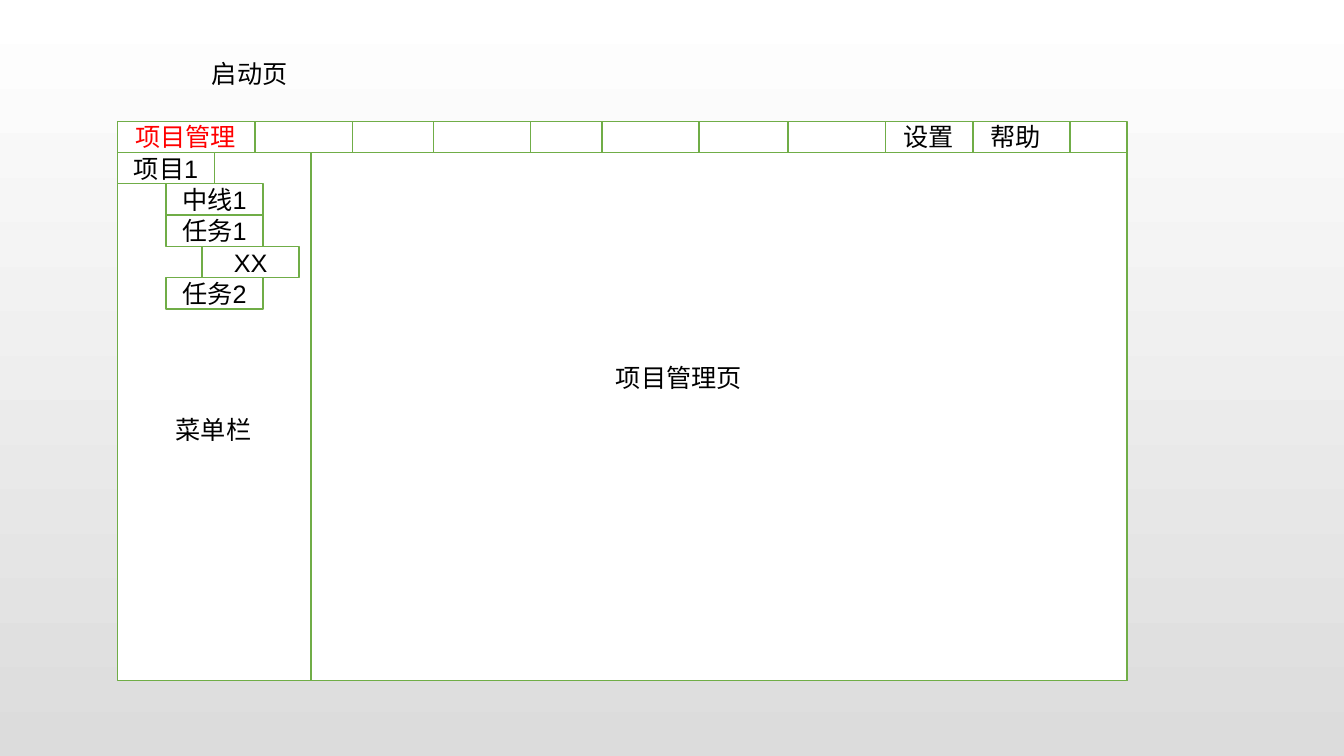
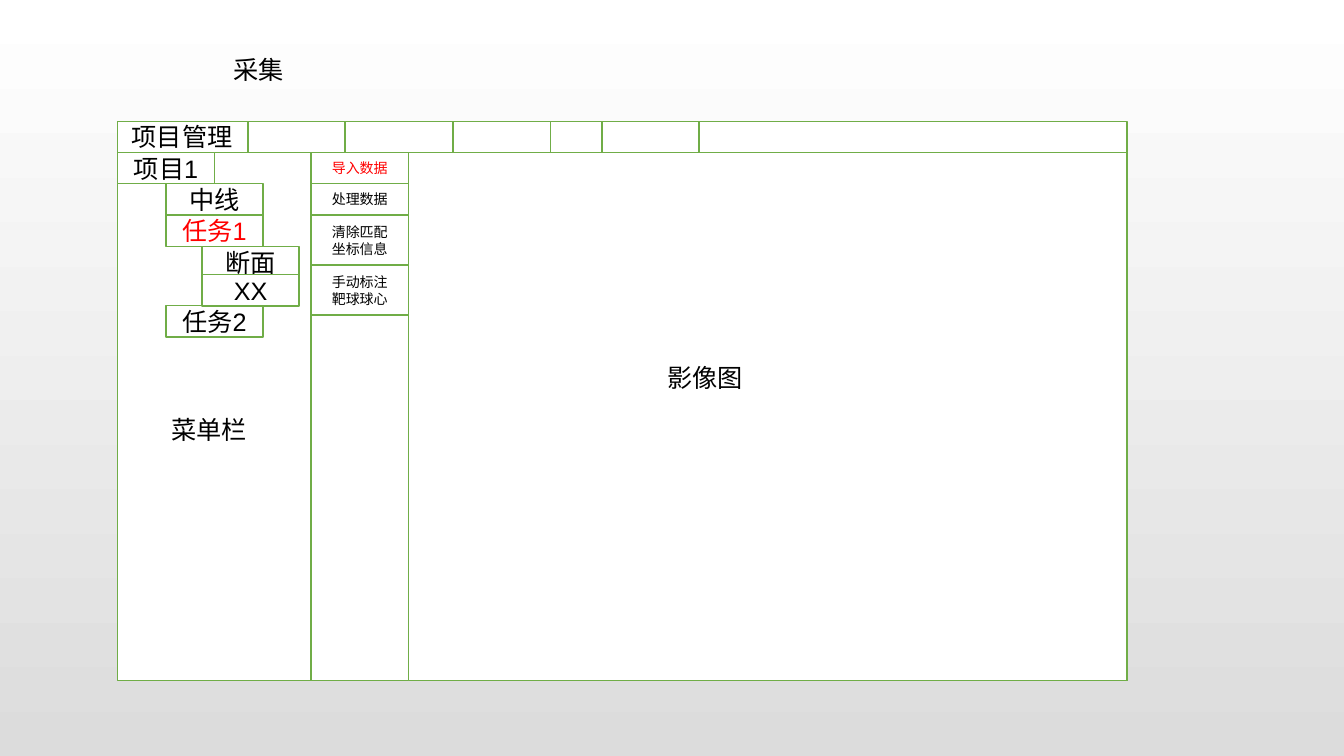
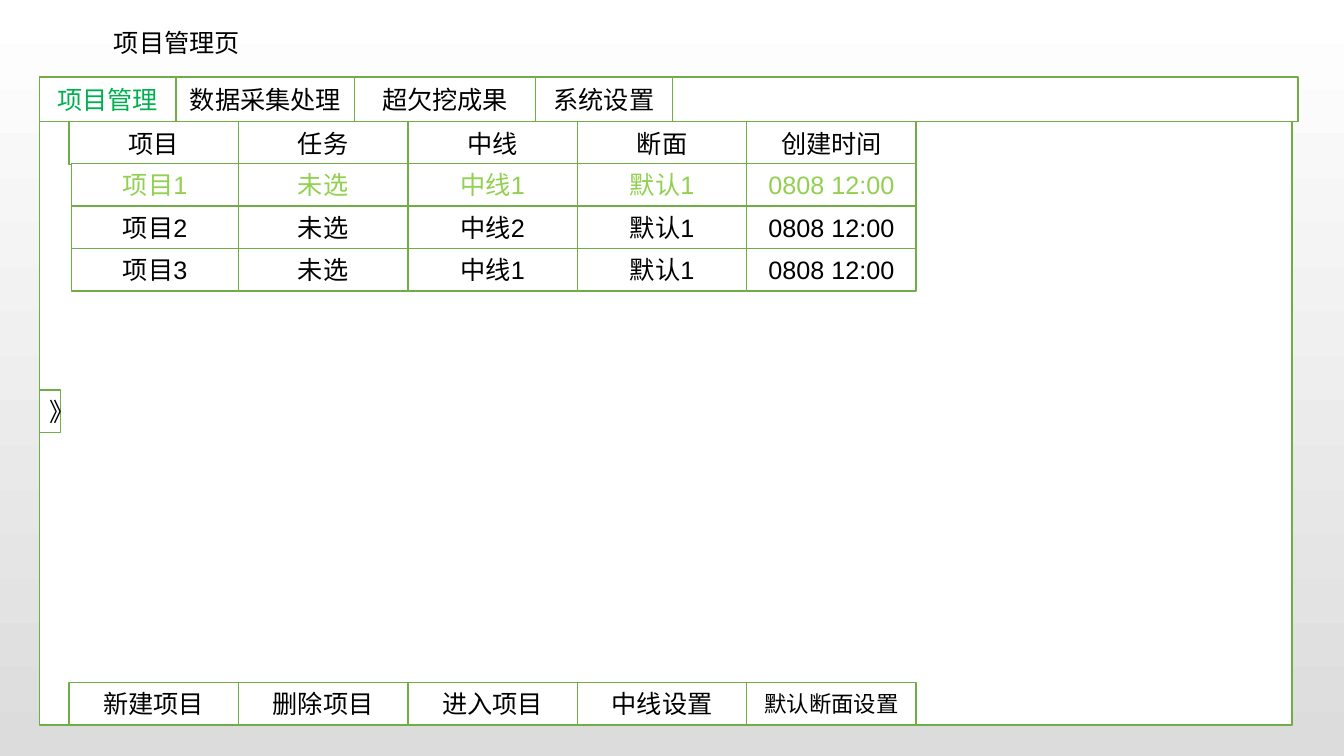
from pptx import Presentation
from pptx.dml.color import RGBColor
from pptx.enum.shapes import MSO_SHAPE as Shape
from pptx.enum.text import PP_ALIGN as Align
from pptx.util import Cm, Pt

COLOURS = {
    "white": "FFFFFF",
    "grey": "DCDCDC",
    "border": "70AD47",
    "text": "000000",
    "red": "FF0000",
    "green": "00B050",
    "lime": "92D050",
}
RGB = {name: RGBColor.from_string(value) for name, value in COLOURS.items()}
FONT = "Arial"


def write(text_frame, text, colour="text", size=18, alignment=Align.CENTER):
    text_frame.word_wrap = True
    text_frame.text = text
    for paragraph in text_frame.paragraphs:
        paragraph.alignment = alignment
        for run in paragraph.runs:
            run.font.name = FONT
            run.font.size = Pt(size)
            run.font.color.rgb = RGB[colour]


def add_box(slide, left, top, width, height, text="", colour="text", size=18):
    """Add a white rectangle with a green border; lengths are in centimetres."""
    shape = slide.shapes.add_shape(
        Shape.RECTANGLE, Cm(left), Cm(top), Cm(width), Cm(height))
    shape.shadow.inherit = False
    shape.fill.solid()
    shape.fill.fore_color.rgb = RGB["white"]
    shape.line.color.rgb = RGB["border"]
    shape.line.width = Pt(1)
    write(shape.text_frame, text, colour, size)


presentation = Presentation()
presentation.slide_width = Cm(33.87)
presentation.slide_height = Cm(19.05)

background = presentation.slide_master.background.fill
background.gradient()
background.gradient_angle = 270
for stop, name in zip(background.gradient_stops, ("white", "grey")):
    stop.color.rgb = RGB[name]

blank_layout = presentation.slide_layouts[6]
start_slide, capture_slide, project_slide = [
    presentation.slides.add_slide(blank_layout) for _ in range(3)]

# Window frame, toolbar and project tree of the first two slides
LEFT, TOP, RIGHT, BOTTOM = 2.96, 3.06, 28.4, 17.15
BODY_TOP, MENU_RIGHT = 3.84, 7.84
BODY_HEIGHT = BOTTOM - BODY_TOP
ROW = 0.79
ITEM_WIDTH = 2.45
INDENTS = (0, 1.22, 2.13)

# Slide, left edge of the page, left edges of toolbar cells,
# tree items as (text, indent level, top, colour)
windows = [
    (start_slide, MENU_RIGHT, (6.43, 10.92, 15.17, 19.86, 24.52), [
        ("项目1", 0, BODY_TOP, "text"),
        ("中线1", 1, BODY_TOP + ROW, "text"),
        ("任务1", 1, BODY_TOP + 2 * ROW, "text"),
        ("任务2", 1, BODY_TOP + 4 * ROW, "text"),
        ("XX", 2, BODY_TOP + 3 * ROW, "text"),
    ]),
    (capture_slide, MENU_RIGHT + ITEM_WIDTH, (6.25, 11.42, 15.17), [
        ("项目1", 0, BODY_TOP, "text"),
        ("中线", 1, BODY_TOP + ROW, "text"),
        ("任务1", 1, BODY_TOP + 2 * ROW, "red"),
        ("任务2", 1, 7.7, "text"),
        ("断面", 2, BODY_TOP + 3 * ROW, "text"),
        ("XX", 2, 6.92, "text"),
    ]),
]
for slide, page_left, toolbar_lefts, tree_items in windows:
    add_box(slide, LEFT, TOP, RIGHT - LEFT, BOTTOM - TOP)
    add_box(slide, page_left, BODY_TOP, RIGHT - page_left, BODY_HEIGHT)
    add_box(slide, LEFT, BODY_TOP, MENU_RIGHT - LEFT, BODY_HEIGHT)
    for left in toolbar_lefts:
        add_box(slide, left, TOP, ITEM_WIDTH, BODY_TOP - TOP)
    for text, level, top, colour in tree_items:
        add_box(slide, LEFT + INDENTS[level], top, ITEM_WIDTH, ROW, text, colour)

# Action column of the capture slide
actions = [
    ("导入数据", ROW, "red"),
    ("处理数据", ROW, "text"),
    ("清除匹配\n坐标信息", 1.26, "text"),
    ("手动标注\n靶球球心", 1.26, "text"),
]
top = BODY_TOP
for text, height, colour in actions:
    add_box(capture_slide, MENU_RIGHT, top, ITEM_WIDTH, height, text, colour, 10)
    top += height

# Project management slide
PAGE_LEFT, PAGE_TOP = 0.99, 1.94
TAB_HEIGHT = 1.13
GRID_LEFT, GRID_TOP = 1.74, 3.07
CELL_WIDTH, CELL_HEIGHT = 4.27, 1.07
FIRST_PROJECT_TOP = 4.12
PROJECT_INSET = 0.07

add_box(project_slide, PAGE_LEFT, PAGE_TOP, 31.57, 16.33)
add_box(project_slide, PAGE_LEFT, PAGE_TOP, 31.72, TAB_HEIGHT)
tabs = [
    ("项目管理", 3.45, "green"),
    ("数据采集处理", 4.5, "text"),
    ("超欠挖成果", 4.55, "text"),
    ("系统设置", 3.46, "text"),
]
left = PAGE_LEFT
for text, width, colour in tabs:
    add_box(project_slide, left, PAGE_TOP, width, TAB_HEIGHT, text, colour)
    left += width
add_box(project_slide, PAGE_LEFT, 9.83, 0.54, CELL_HEIGHT, "》")

headings = ["项目", "任务", "中线", "断面", "创建时间"]
buttons = ["新建项目", "删除项目", "进入项目", "中线设置", "默认断面设置"]
for index, (heading, button) in enumerate(zip(headings, buttons)):
    left = GRID_LEFT + index * CELL_WIDTH
    add_box(project_slide, left, GRID_TOP, CELL_WIDTH, CELL_HEIGHT, heading)
    add_box(project_slide, left, 17.2, CELL_WIDTH, CELL_HEIGHT, button,
            size=16 if len(button) > 4 else 18)

projects = [
    ("项目1", "未选", "中线1", "默认1", "0808 12:00"),
    ("项目2", "未选", "中线2", "默认1", "0808 12:00"),
    ("项目3", "未选", "中线1", "默认1", "0808 12:00"),
]
SELECTED_ROW = 0
for row, values in enumerate(projects):
    colour = "lime" if row == SELECTED_ROW else "text"
    for column, text in enumerate(values):
        inset = PROJECT_INSET if column == 0 else 0
        add_box(project_slide, GRID_LEFT + column * CELL_WIDTH + inset,
                FIRST_PROJECT_TOP + row * CELL_HEIGHT,
                CELL_WIDTH - inset, CELL_HEIGHT, text, colour)

# Free labels: slide, text, left, top, width, colour
labels = [
    (start_slide, "启动页", 5.09, 1.35, 3.07, "text"),
    (start_slide, "菜单栏", 4.18, 10.31, 3.07, "text"),
    (start_slide, "项目管理页", 15.27, 9.01, 4.34, "text"),
    (start_slide, "项目管理", 3.16, 2.94, 3.45, "red"),
    (start_slide, "设置", 22.51, 2.94, 2.24, "text"),
    (start_slide, "帮助", 24.72, 2.94, 2.24, "text"),
    (capture_slide, "采集", 5.64, 1.24, 3.07, "text"),
    (capture_slide, "菜单栏", 4.07, 10.31, 3.07, "text"),
    (capture_slide, "影像图", 16.56, 9.01, 3.02, "text"),
    (capture_slide, "项目管理", 3.07, 2.94, 3.56, "text"),
    (project_slide, "项目管理页", 2.62, 0.56, 4.09, "text"),
]
for slide, text, left, top, width, colour in labels:
    label = slide.shapes.add_textbox(Cm(left), Cm(top), Cm(width), Cm(1.02))
    write(label.text_frame, text, colour, alignment=Align.LEFT)

presentation.save("out.pptx")
